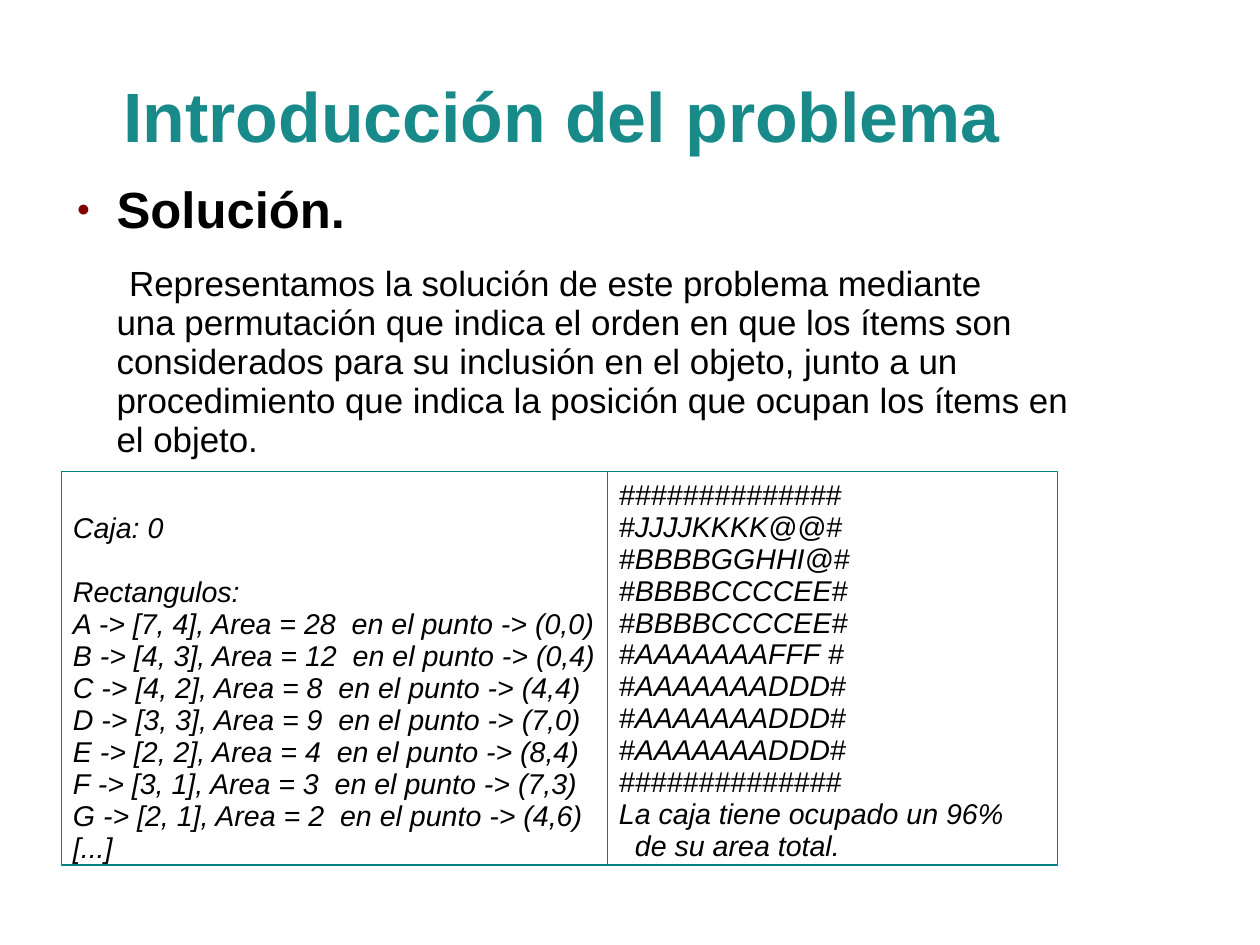
from lxml import etree
from pptx import Presentation
from pptx.dml.color import RGBColor
from pptx.enum.shapes import MSO_SHAPE
from pptx.enum.text import MSO_ANCHOR, MSO_AUTO_SIZE, PP_ALIGN
from pptx.oxml.ns import qn
from pptx.util import Cm, Inches, Pt

RECTANGLE = MSO_SHAPE.RECTANGLE
TOP, MIDDLE = MSO_ANCHOR.TOP, MSO_ANCHOR.MIDDLE
LEFT, CENTER = PP_ALIGN.LEFT, PP_ALIGN.CENTER
NO_FIT = MSO_AUTO_SIZE.NONE

WIDTH, HEIGHT = Cm(28), Cm(21)
FONT = "Arial"
TEAL, LINE_TEAL, MAROON, BLACK = "198A8A", "008080", "800000", "000000"
LINE_SPACING = 0.93

# Boxes as left, top, width, height in percent of the slide
TITLE_BOX = (3.54, 3.99, 82.21, 16.69)
BODY_BOX = (4.99, 18.98, 80.76, 66.02)
PANELS_BOX = (4.9, 49.94, 79.04, 41.6)
LISTING_WIDTH = 43.33

SOLUTION = (
    "Representamos la solución de este problema mediante",
    "una permutación que indica el orden en que los ítems son considerados "
    "para su inclusión en el objeto, junto a un procedimiento que indica la "
    "posición que ocupan los ítems en el objeto.",
)
# Name, width, height, position
ITEMS = [
    ("A", 7, 4, "0,0"), ("B", 4, 3, "0,4"), ("C", 4, 2, "4,4"),
    ("D", 3, 3, "7,0"), ("E", 2, 2, "8,4"), ("F", 3, 1, "7,3"),
    ("G", 2, 1, "4,6"),
]
BORDER = "#" * 14
PACKING = [
    BORDER, "#JJJJKKKK@@#", "#BBBBGGHHI@#", *["#BBBBCCCCEE#"] * 2,
    "#AAAAAAAFFF #", *["#AAAAAAADDD#"] * 3, BORDER,
]


def color(value):
    return RGBColor.from_string(value)


def place(shape, box):
    left, top, width, height = box
    shape.left, shape.width = (int(WIDTH * share / 100) for share in (left, width))
    shape.top, shape.height = (int(HEIGHT * share / 100) for share in (top, height))


def format_frame(frame, anchor, insets):
    frame.word_wrap = True
    frame.auto_size = NO_FIT
    frame.vertical_anchor = anchor
    (frame.margin_left, frame.margin_top,
     frame.margin_right, frame.margin_bottom) = map(Inches, insets)


def format_paragraph(paragraph, align=LEFT, before=0, after=0):
    paragraph.alignment = align
    paragraph.line_spacing = LINE_SPACING
    paragraph.space_before, paragraph.space_after = Pt(before), Pt(after)


def add_run(paragraph, text, size, hex_color=BLACK, bold=False, italic=False):
    run = paragraph.add_run()
    run.text = text
    font = run.font
    font.name, font.size, font.bold, font.italic = FONT, Pt(size), bold, italic
    font.color.rgb = color(hex_color)


def set_indent(paragraph, margin, first_line):
    properties = paragraph._p.get_or_add_pPr()
    properties.set("marL", str(Inches(margin)))
    properties.set("indent", str(Inches(first_line)))
    return properties


def set_bullet(properties, character, hex_color, percent):
    bullet_color = etree.SubElement(properties, qn("a:buClr"))
    etree.SubElement(bullet_color, qn("a:srgbClr"), val=hex_color)
    etree.SubElement(properties, qn("a:buSzPct"), val=str(percent * 1000))
    etree.SubElement(properties, qn("a:buFont"), typeface=FONT)
    etree.SubElement(properties, qn("a:buChar"), char=character)


def fill_title(title, box):
    place(title, box)
    format_frame(title.text_frame, MIDDLE, (0, 0.04, 0, 0))
    paragraph = title.text_frame.paragraphs[0]
    format_paragraph(paragraph, CENTER)
    add_run(paragraph, "Introducción del problema", 44, TEAL, bold=True)


def fill_body(body, box):
    place(body, box)
    frame = body.text_frame
    format_frame(frame, TOP, (0, 0.03, 0, 0))

    # Bulleted heading
    heading = frame.paragraphs[0]
    format_paragraph(heading, after=14.3)
    set_bullet(set_indent(heading, 0.47, -0.35), "●", MAROON, 45)
    add_run(heading, "Solución.", 32, bold=True)

    # Explanation with an indented first line
    explanation = frame.add_paragraph()
    format_paragraph(explanation, before=2.2, after=14.3)
    etree.SubElement(set_indent(explanation, 0.47, 0.11), qn("a:buNone"))
    first_line, remainder = SOLUTION
    add_run(explanation, first_line, 22)
    explanation.add_line_break()
    add_run(explanation, remainder, 22)


def add_panel(slide, box, lines, top_inset=0.07):
    """Outlined panel; each line is (text, points before, indent in inches)."""
    panel = slide.shapes.add_shape(RECTANGLE, 0, 0, 0, 0)
    place(panel, box)
    panel.shadow.inherit = False
    panel.fill.background()
    panel.line.color.rgb = color(LINE_TEAL)
    panel.line.width = Pt(0.75)
    frame = panel.text_frame
    format_frame(frame, TOP, (0.1, top_inset, 0.1, 0.05))
    for index, (text, before, indent) in enumerate(lines):
        paragraph = frame.add_paragraph() if index else frame.paragraphs[0]
        format_paragraph(paragraph, before=before)
        set_indent(paragraph, indent, 0)
        add_run(paragraph, text, 18, italic=True)


def add_panels(slide, box):
    left, top, width, height = box

    # Placed rectangles
    placements = [
        (f"{name} -> [{item_width}, {item_height}], "
         f"Area = {item_width * item_height}  en el punto -> ({point})", 0, 0)
        for name, item_width, item_height, point in ITEMS
    ]
    listing = [("Caja: 0", 0, 0), ("Rectangulos:", 20.4, 0), *placements, ("[...]", 0, 0)]
    add_panel(slide, (left, top, LISTING_WIDTH, height), listing, top_inset=0.36)

    # Packed box drawn with characters
    drawing = [(row, 0, 0) for row in PACKING]
    drawing += [("La caja tiene ocupado un 96%", 0, 0), ("de su area total.", 0, 0.14)]
    drawing_box = (left + LISTING_WIDTH, top, width - LISTING_WIDTH, height)
    add_panel(slide, drawing_box, drawing)


def main():
    presentation = Presentation()
    presentation.slide_width, presentation.slide_height = WIDTH, HEIGHT
    slide = presentation.slides.add_slide(presentation.slide_layouts[1])
    fill_title(slide.shapes.title, TITLE_BOX)
    fill_body(slide.placeholders[1], BODY_BOX)
    add_panels(slide, PANELS_BOX)
    presentation.save("out.pptx")


if __name__ == "__main__":
    main()
